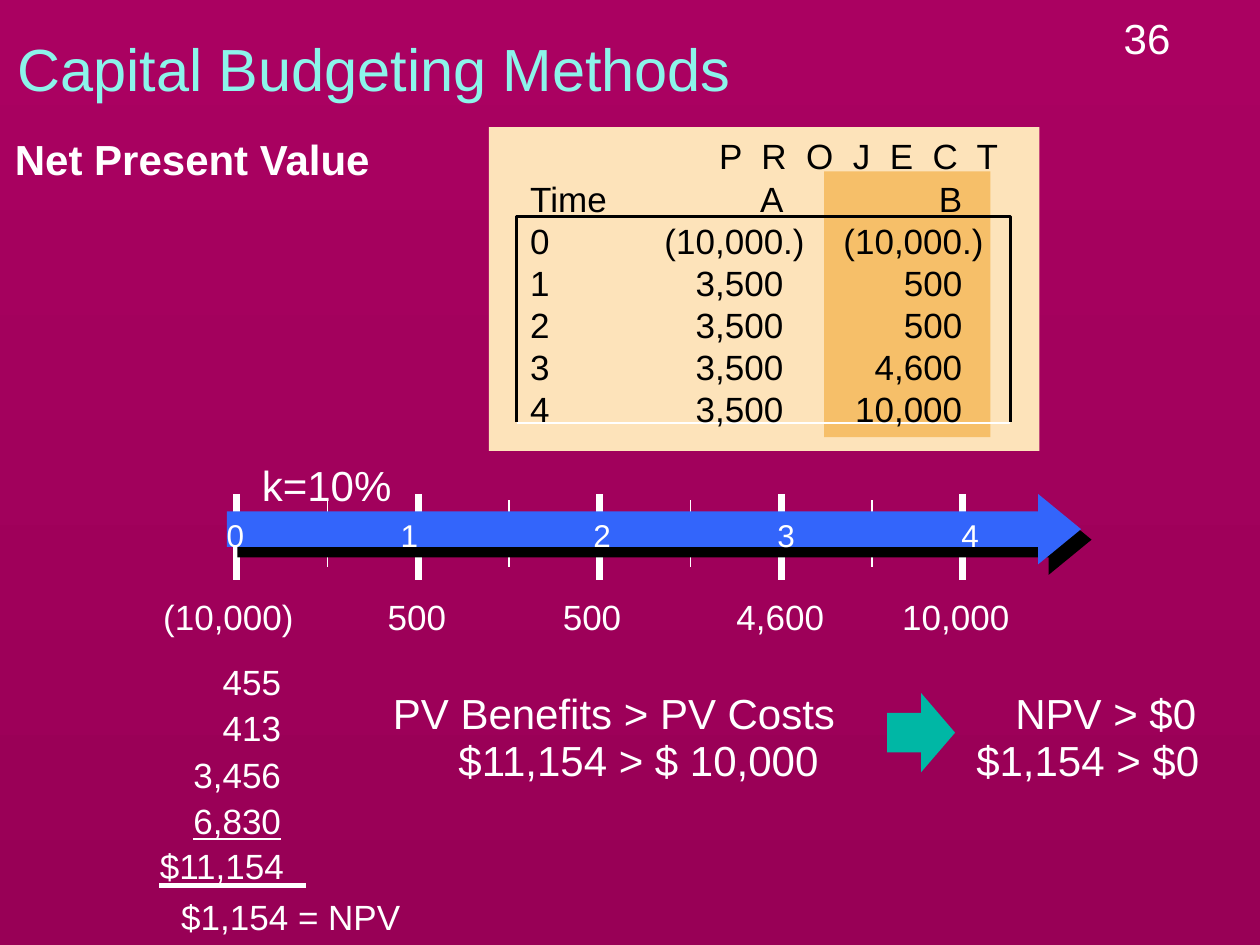
"""Build a net present value slide with a cash flow table and a timeline."""
from dataclasses import dataclass

from lxml.etree import SubElement
from pptx import Presentation
from pptx.dml.color import RGBColor
from pptx.enum.shapes import MSO_CONNECTOR as Connector, MSO_SHAPE as Shape
from pptx.enum.text import MSO_ANCHOR as Anchor, MSO_AUTO_SIZE as AutoSize, PP_ALIGN as Align
from pptx.oxml.ns import qn
from pptx.util import Inches, Pt


@dataclass(frozen=True)
class Theme:
    font: str = "Arial"
    top: str = "AA0161"
    bottom: str = "980056"
    heading: str = "8CF4EA"
    light: str = "FFFFFF"
    dark: str = "000000"
    panel: str = "FDE3BA"
    highlight: str = "F6BF69"
    timeline: str = "3365FB"
    result: str = "00B7A5"
    title: int = 34
    large: int = 24
    medium: int = 20
    small: int = 18


THEME = Theme()
TITLE = "Capital Budgeting Methods"
PROJECT_HEADING = "P R O J E C T"
CASH_FLOWS = [
    ("Time", "A", "B"),
    ("0", "(10,000.)", "(10,000.)"),
    ("1", "3,500", "500"),
    ("2", "3,500", "500"),
    ("3", "3,500", "4,600"),
    ("4", "3,500", "10,000"),
]
CASH_FLOW_TABS = [(2.01, "dec"), (3.43, "dec")]
PERIODS = ["0", "1", "2", "3", "4"]
PERIOD_TABS = [(1.45, "ctr"), (2.98, "ctr"), (4.44, "ctr"), (5.9, "ctr")]
LARGE_LABELS = [
    ("36", 8.82, 0.05, 1.72),
    ("k=10%", 1.98, 3.6, 1.23),
    ("PV Benefits > PV Costs", 3.02, 5.41, 3.71),
    ("$11,154 > $ 10,000", 3.54, 5.78, 3.08),
    ("NPV > $0", 7.96, 5.41, 1.64),
    ("$1,154 > $0", 7.65, 5.78, 1.97),
]
TIMELINE_FLOWS = [
    ("(10,000)", 1.19, 1.24),
    ("500", 2.97, 0.67),
    ("500", 4.36, 0.67),
    ("4,600", 5.74, 0.9),
    ("10,000", 7.06, 1.05),
]
PRESENT_VALUES = ["455", "413", "3,456", "6,830"]
PV_TOP, PV_STEP = 5.19, 0.37
FIRST_TICK, TICK_STEP = 1.88, 1.44


def rgb(color):
    return RGBColor.from_string(color)


def style(paragraph, size, color, bold=False, underline=False):
    font = paragraph.font
    font.name, font.size, font.bold = THEME.font, Pt(size), bold
    font.underline = underline
    font.color.rgb = rgb(color)


def add_tabs(paragraph, tabs):
    stops = SubElement(paragraph._p.get_or_add_pPr(), qn("a:tabLst"))
    for position, alignment in tabs:
        SubElement(stops, qn("a:tab"), pos=str(Inches(position)), algn=alignment)


def add_text(slide, lines, left, top, width, height, size, color=THEME.light,
             align=Align.LEFT, tabs=(), wrap=False, **emphasis):
    box = slide.shapes.add_textbox(*map(Inches, (left, top, width, height)))
    frame = box.text_frame
    frame.word_wrap = wrap
    frame.text = "\n".join(lines)
    for paragraph in frame.paragraphs:
        paragraph.alignment = align
        if tabs:
            add_tabs(paragraph, tabs)
        style(paragraph, size, color, **emphasis)
    return frame


def add_shadow(properties, distance):
    effects = SubElement(properties, qn("a:effectLst"))
    shadow = SubElement(effects, qn("a:outerShdw"), dist=str(Pt(distance)),
                        dir="2700000", algn="ctr", rotWithShape="0")
    SubElement(shadow, qn("a:srgbClr"), val=THEME.dark)


def add_block(slide, kind, left, top, width, height, color):
    block = slide.shapes.add_shape(kind, *map(Inches, (left, top, width, height)))
    block.fill.solid()
    block.fill.fore_color.rgb = rgb(color)
    block.line.fill.background()
    return block


def add_line(slide, x1, y1, x2, y2, weight):
    line = slide.shapes.add_connector(Connector.STRAIGHT, *map(Inches, (x1, y1, x2, y2)))
    line.line.color.rgb = rgb(THEME.light)
    line.line.width = Pt(weight)
    SubElement(line._element.spPr, qn("a:effectLst"))


def add_background(slide):
    fill = slide.background.fill
    fill.gradient()
    fill.gradient_angle = 270
    for stop, position, color in zip(fill.gradient_stops, (0, 1), (THEME.top, THEME.bottom)):
        stop.position = position
        stop.color.rgb = rgb(color)


def add_title(slide):
    title = slide.shapes.title
    title.left, title.top, title.width, title.height = map(Inches, (0.04, 0.08, 8.44, 0.92))
    frame = title.text_frame
    frame.text = TITLE
    frame.auto_size = AutoSize.NONE
    frame.vertical_anchor = Anchor.MIDDLE
    heading = frame.paragraphs[0]
    heading.alignment = Align.LEFT
    style(heading, THEME.title, THEME.heading)
    add_shadow(heading.runs[0]._r.get_or_add_rPr(), 3)


def add_timeline(slide):
    ticks = [FIRST_TICK + TICK_STEP * period for period in range(len(PERIODS))]
    for tick in ticks[:-1]:
        middle = tick + TICK_STEP / 2
        add_line(slide, middle, 3.97, middle, 4.5, 1)
    for tick in ticks:
        add_line(slide, tick, 3.92, tick, 4.6, 4)
    arrow = add_block(slide, Shape.RIGHT_ARROW, 1.8, 3.92, 6.78, 0.56, THEME.timeline)
    arrow.adjustments[1] = 0.61
    add_shadow(arrow._element.spPr, 8.5)
    add_text(slide, ["\t".join(PERIODS)], 1.7, 4.05, 6.28, 0.4, THEME.small,
             tabs=PERIOD_TABS, wrap=True)
    for amount, left, width in TIMELINE_FLOWS:
        add_text(slide, [amount], left, 4.68, width, 0.43, THEME.medium, align=Align.RIGHT)


def add_present_values(slide):
    for row, amount in enumerate(PRESENT_VALUES):
        add_text(slide, [amount], 1.43, PV_TOP + PV_STEP * row, 0.9, 0.43, THEME.medium,
                 align=Align.RIGHT, underline=amount == PRESENT_VALUES[-1])
    add_text(slide, ["$11,154"], 1.17, 6.65, 1.21, 0.43, THEME.medium)
    add_line(slide, 2.43, 7.03, 1.26, 7.03, 3)
    add_text(slide, ["$1,154 = NPV"], 1.34, 7.06, 1.94, 0.43, THEME.medium)


def add_cash_flows(slide):
    for place, color in (((3.88, 1.01, 4.37, 2.57), THEME.panel),
                         ((6.54, 1.36, 1.32, 2.11), THEME.highlight)):
        add_block(slide, Shape.RECTANGLE, *place, color).shadow.inherit = False
    add_line(slide, 4.1, 3.36, 8.02, 3.36, 1)
    heading = add_text(slide, [PROJECT_HEADING], 5.61, 1.02, 2.54, 0.43, THEME.medium,
                       THEME.dark, wrap=True)
    heading.paragraphs[0].runs[0]._r.get_or_add_rPr().set("spc", "278")
    builder = slide.shapes.build_freeform(Inches(4.1), Inches(3.35))
    corners = [(4.1, 1.72), (8.02, 1.72), (8.02, 3.35)]
    builder.add_line_segments([(Inches(x), Inches(y)) for x, y in corners], close=False)
    frame = builder.convert_to_shape()
    frame.fill.background()
    frame.line.color.rgb = rgb(THEME.dark)
    frame.line.width = Pt(2)
    frame.shadow.inherit = False
    add_text(slide, ["\t".join(row) for row in CASH_FLOWS], 4.11, 1.36, 4.07, 2.1,
             THEME.medium, THEME.dark, tabs=CASH_FLOW_TABS, wrap=True)


def main():
    deck = Presentation()
    deck.slide_width, deck.slide_height = Inches(10), Inches(7.5)
    slide = deck.slides.add_slide(deck.slide_layouts[5])
    add_background(slide)
    add_title(slide)
    add_text(slide, ["Net Present Value"], 0.02, 1.01, 3.04, 0.5, THEME.large, bold=True)
    add_timeline(slide)
    add_present_values(slide)
    add_cash_flows(slide)
    for label, left, top, width in LARGE_LABELS:
        add_text(slide, [label], left, top, width, 0.5, THEME.large)
    result = add_block(slide, Shape.RIGHT_ARROW, 7.04, 5.5, 0.54, 0.63, THEME.result)
    result.shadow.inherit = False
    deck.save("out.pptx")


if __name__ == "__main__":
    main()
